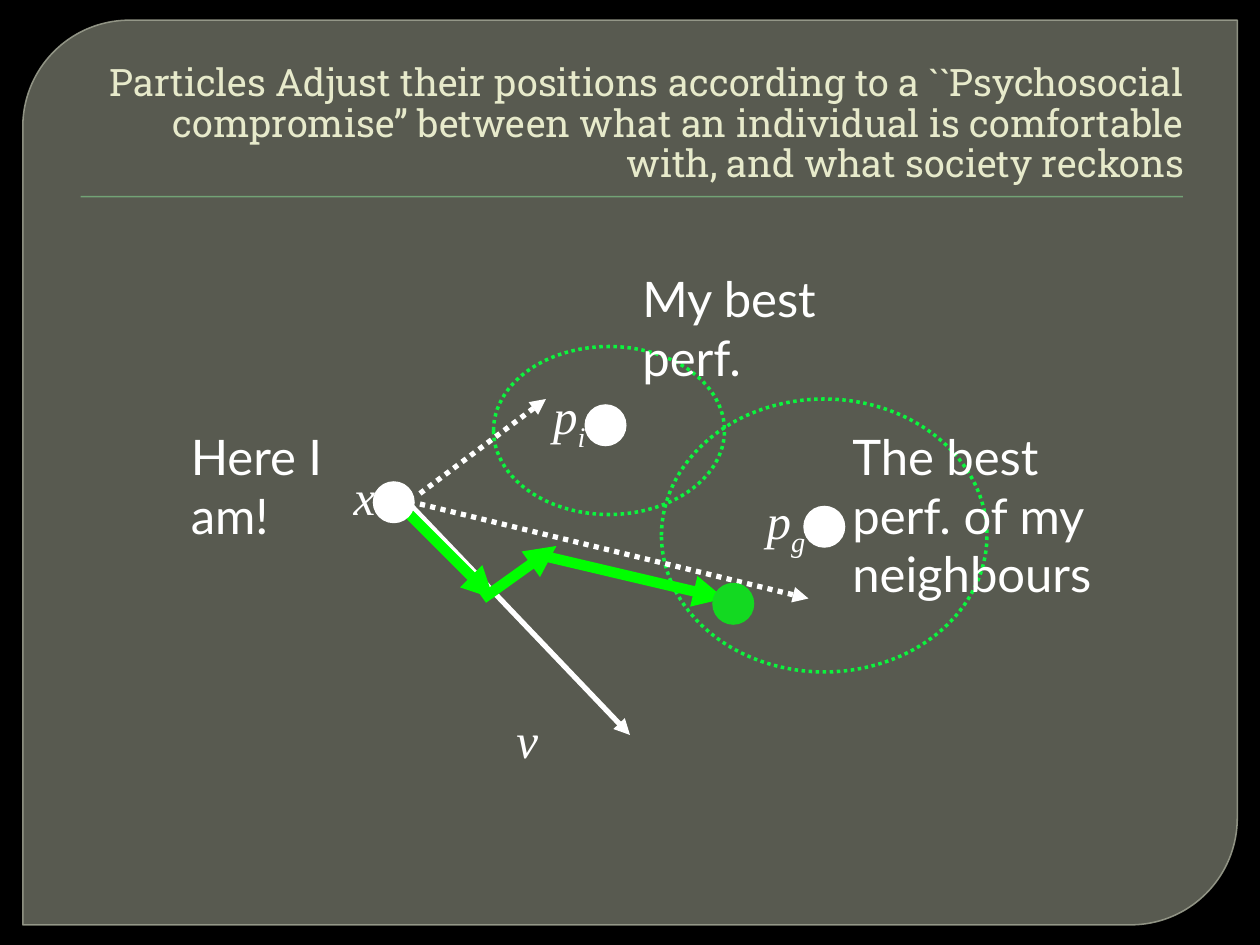
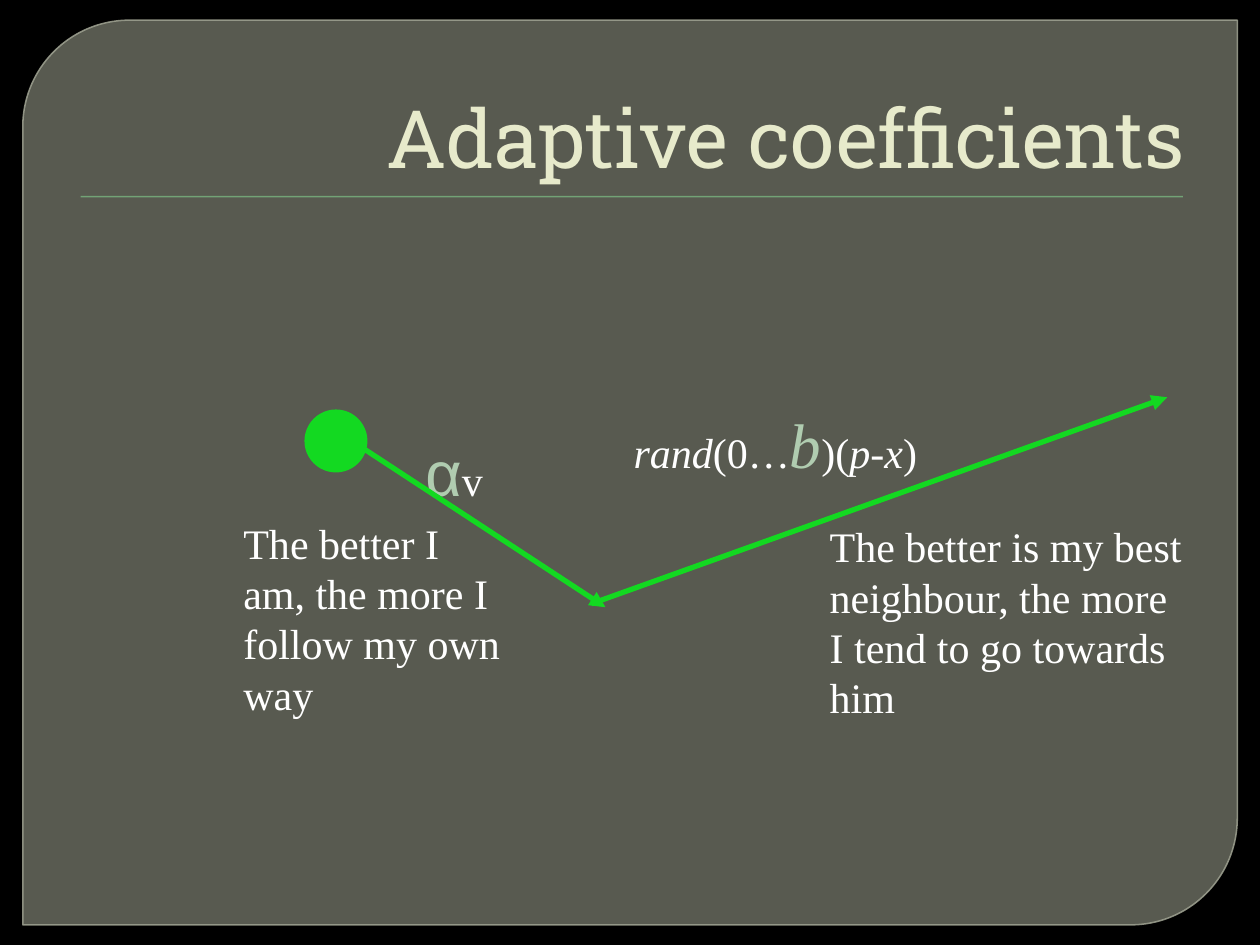
from lxml.etree import SubElement
from pptx import Presentation
from pptx.dml.color import RGBColor
from pptx.enum.dml import MSO_LINE
from pptx.enum.shapes import MSO_CONNECTOR, MSO_SHAPE as SHAPE
from pptx.enum.text import MSO_ANCHOR as ANCHOR, MSO_AUTO_SIZE, PP_ALIGN as ALIGN
from pptx.oxml.ns import qn
from pptx.util import Pt

COLORS = {
    "background": "000000",
    "panel": "888B7B",
    "panel_edge": "9DA090",
    "rule": "72A376",
    "title": "E7EACB",
    "text": "FFFFFF",
    "coefficient": "B0CCB0",
    "zone": "0BF53D",
    "step": "00FF00",
    "particle": "13D921",
}
TITLE_FONT, LABEL_FONT = "Roboto Slab", "Lato"
MATH_FONT, GREEK_FONT = "Times New Roman", "Arial"


def rgb(name):
    return RGBColor.from_string(COLORS[name])


def set_alpha(fill_parent, percent):
    """Make the solid fill inside an element partly transparent."""
    color = fill_parent.find(qn("a:solidFill"))[0]
    SubElement(color, qn("a:alpha"), val=str(percent * 1000))


def write(tf, runs, align=ALIGN.LEFT, spacing=1.0, anchor=ANCHOR.TOP, **base):
    """Fill a frame with a string or with (text, format changes) pairs."""
    tf.word_wrap, tf.auto_size, tf.vertical_anchor = True, MSO_AUTO_SIZE.NONE, anchor
    p = tf.paragraphs[0]
    p.alignment, p.line_spacing = align, spacing
    for text, changes in [(runs, {})] if isinstance(runs, str) else runs:
        style = {"color": "text", "italic": False, "sub": False, **base, **changes}
        r = p.add_run()
        r.text = text
        r.font.name, r.font.size = style["font"], Pt(style["size"])
        r.font.italic = style["italic"]
        r.font.color.rgb = rgb(style["color"])
        if style["sub"]:
            r.font._element.set("baseline", "-25000")


def add_text(slide, box, left, top, width, height, runs, **style):
    tb = slide.shapes.add_textbox(Pt(box[0] + left), Pt(box[1] + top), Pt(width), Pt(height))
    write(tb.text_frame, runs, **style)


def add_shape(slide, kind, left, top, width, height, fill=None, line=None, weight=1.0):
    sp = slide.shapes.add_shape(kind, Pt(left), Pt(top), Pt(width), Pt(height))
    sp.shadow.inherit = False
    if fill:
        sp.fill.solid()
        sp.fill.fore_color.rgb = rgb(fill)
    else:
        sp.fill.background()
    if line:
        sp.line.color.rgb, sp.line.width = rgb(line), Pt(weight)
    else:
        sp.line.fill.background()
    return sp


def add_dot(slide, box, left, top, size, color):
    add_shape(slide, SHAPE.OVAL, box[0] + left, box[1] + top, size, size, fill=color)


def add_arrow(slide, box, start, end, color, weight=3, dotted=False):
    x, y = box
    line = slide.shapes.add_connector(
        MSO_CONNECTOR.STRAIGHT, Pt(x + start[0]), Pt(y + start[1]), Pt(x + end[0]), Pt(y + end[1]))
    line.line.color.rgb, line.line.width = rgb(color), Pt(weight)
    if dotted:
        line.line.dash_style = MSO_LINE.ROUND_DOT
    SubElement(line.line._get_or_add_ln(), qn("a:tailEnd"), type="triangle")
    SubElement(line._element.spPr, qn("a:effectLst"))


def move_frame_to_layout(slide):
    """Build the rounded panel and title rule, then hand them to the layout."""
    panel = add_shape(slide, SHAPE.ROUND_2_DIAG_RECTANGLE, 13, 11.5, 694, 517,
                      fill="panel", line="panel_edge", weight=0.87)
    panel.adjustments[0], panel.adjustments[1] = 0.118, 0
    set_alpha(panel._element.spPr, 65)
    set_alpha(panel.line._get_or_add_ln(), 88)
    rule = add_shape(slide, SHAPE.RECTANGLE, 46, 112, 630, 0.9, fill="rule")
    tree = slide.slide_layout.shapes._spTree
    for i, sp in enumerate((panel, rule)):
        sp._element.nvSpPr.cNvPr.set("id", str(20 + i))
        tree.insert(2 + i, sp._element)


def add_title(slide, text, size):
    title = slide.shapes.title
    title.left, title.top, title.width, title.height = Pt(36), Pt(20), Pt(648), Pt(90)
    write(title.text_frame, text, align=ALIGN.RIGHT, spacing=0.9, anchor=ANCHOR.BOTTOM,
          font=TITLE_FONT, size=size, color="title")


def draw_compromise(slide, box):
    for left, top, width, height in ((276, 78, 186, 156), (180, 48, 132, 96)):
        zone = add_shape(slide, SHAPE.OVAL, box[0] + left, box[1] + top, width, height,
                         line="zone", weight=2)
        zone.line.dash_style = MSO_LINE.ROUND_DOT

    for left, top, width, height, label in (
            (0, 90, 120, 74, "Here I am!"),
            (378, 90, 168, 108, "The best perf. of my neighbours"),
            (258, 0, 120, 74, "My best perf.")):
        add_text(slide, box, left, top, width, height, label, font=LABEL_FONT, size=28)

    add_arrow(slide, box, (132, 138), (258, 270), "text")
    for start, end in (((138, 132), (210, 78)), ((138, 138), (360, 192))):
        add_arrow(slide, box, start, end, "text", dotted=True)
    for start, end in (((132, 144), (180, 192)), ((174, 192), (216, 162)),
                       ((210, 168), (312, 192))):
        add_arrow(slide, box, start, end, "step", weight=6)

    for left, top, width, symbol, index in (
            (93, 113, 42, "x", ""), (329, 127, 66, "p", "g"),
            (207, 67, 42, "p", "i"), (186, 252, 27, "v", "")):
        runs = [(symbol, {})] + ([(index, {"sub": True})] if index else [])
        add_text(slide, box, left, top, width, 41, runs, font=MATH_FONT, size=28, italic=True)

    for left, top, color in ((111, 125, "text"), (357, 139, "text"),
                             (232, 81, "text"), (305, 183, "particle")):
        add_dot(slide, box, left, top, 24, color)


def draw_coefficients(slide, box):
    italic = {"italic": True}
    big = {"size": 36, "color": "coefficient"}
    for left, top, width, height, runs in (
            (0, 65, 161, 122, "The better I am, the more I follow my own way"),
            (335, 67, 220, 122,
             "The better is my best neighbour, the more I tend to go towards him"),
            (104, 17, 83, 50, [("α", {**big, "font": GREEK_FONT}), ("v", {})]),
            (223, 1, 213, 50, [("rand", italic), ("(0…", {}), ("b", {**big, **italic}),
                               (")(", {}), ("p", italic), ("-", {}), ("x", italic),
                               (")", {})])):
        add_text(slide, box, left, top, width, height, runs, font=MATH_FONT, size=24)

    for start, end in (((63, 21), (214, 120)), ((206, 118), (535, 0))):
        add_arrow(slide, box, start, end, "particle")
    add_dot(slide, box, 42, 7, 36, "particle")


def main():
    prs = Presentation()
    prs.slide_width, prs.slide_height = Pt(720), Pt(540)
    background = prs.slide_master.background.fill
    background.solid()
    background.fore_color.rgb = rgb("background")
    layout = prs.slide_layouts[5]

    slide = prs.slides.add_slide(layout)
    move_frame_to_layout(slide)
    add_title(slide, "Particles Adjust their positions according to a ``Psychosocial "
              "compromise’’ between what an individual is comfortable with, "
              "and what society reckons", 21.6)
    draw_compromise(slide, (102, 150))

    slide = prs.slides.add_slide(layout)
    add_title(slide, "Adaptive coefficients", 46)
    draw_coefficients(slide, (132, 227))

    prs.save("out.pptx")


if __name__ == "__main__":
    main()
